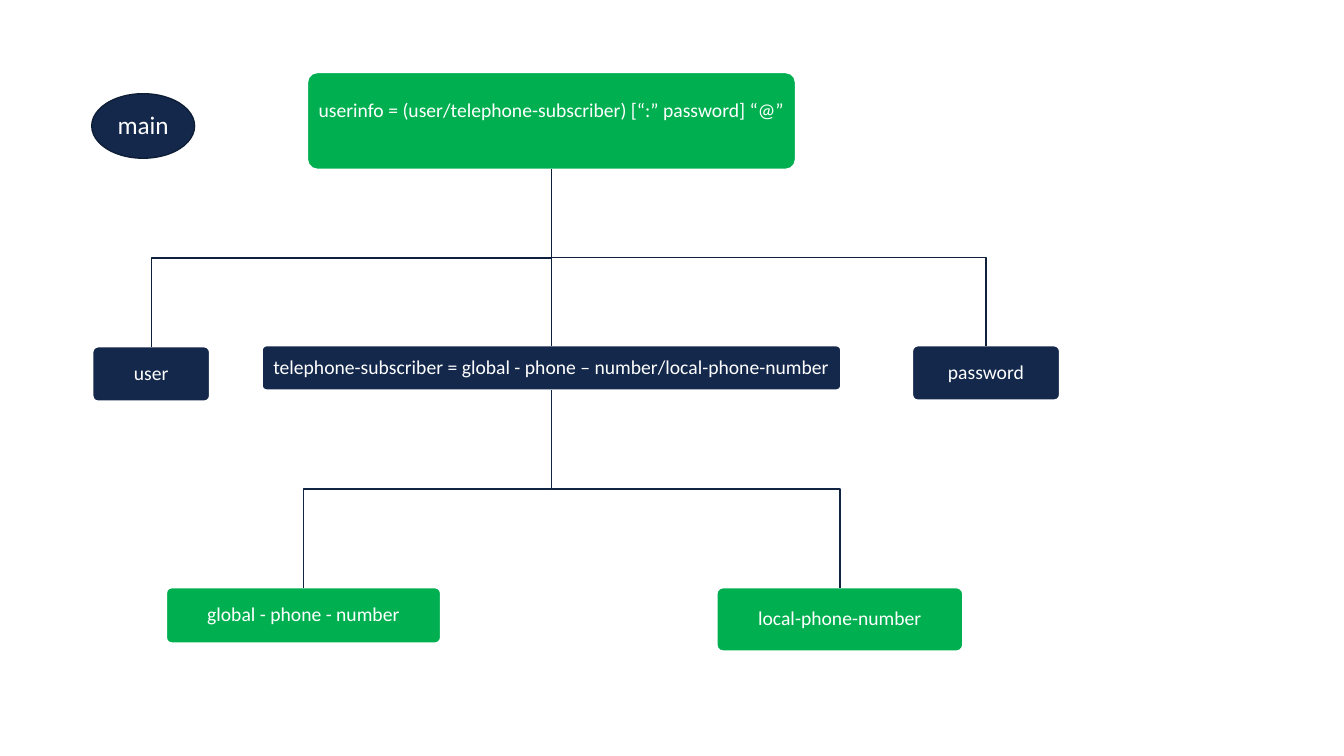
from lxml.etree import SubElement
from pptx import Presentation
from pptx.dml.color import RGBColor
from pptx.enum.shapes import MSO_CONNECTOR, MSO_SHAPE
from pptx.enum.text import MSO_ANCHOR, PP_ALIGN
from pptx.oxml.ns import qn
from pptx.util import Inches, Pt

WHITE = RGBColor(0xFF, 0xFF, 0xFF)
GREEN = RGBColor(0x00, 0xB0, 0x50)
NAVY = RGBColor(0x13, 0x28, 0x4B)
NAVY_EDGE = RGBColor(0x0E, 0x1E, 0x37)
UPPER_LINK = RGBColor(0x0F, 0x20, 0x3C)
LOWER_LINK = RGBColor(0x11, 0x24, 0x44)
BOTTOM, TOP = 2, 0


class GrammarTree:
    """Draws the nodes and links of a grammar tree on one slide."""

    font = "Calibri"
    line_width = Pt(1)
    inset = Inches(0.06)

    def __init__(self, slide):
        self.shapes = slide.shapes

    def node(self, text, left, top, width, height, fill, edge=WHITE,
             kind=MSO_SHAPE.ROUNDED_RECTANGLE, size=14, lift=0):
        shape = self.shapes.add_shape(
            kind, Inches(left), Inches(top), Inches(width), Inches(height))
        if kind == MSO_SHAPE.ROUNDED_RECTANGLE:
            shape.adjustments[0] = 0.1
        shape.shadow.inherit = False
        shape.fill.solid()
        shape.fill.fore_color.rgb = fill
        shape.line.color.rgb = edge
        shape.line.width = self.line_width
        frame = shape.text_frame
        frame.word_wrap = True
        frame.vertical_anchor = MSO_ANCHOR.MIDDLE
        frame.margin_left = frame.margin_right = frame.margin_top = self.inset
        frame.margin_bottom = self.inset + Inches(lift)
        paragraph = frame.paragraphs[0]
        paragraph.text = text
        paragraph.alignment = PP_ALIGN.CENTER
        paragraph.line_spacing = 0.9
        paragraph.font.name = self.font
        paragraph.font.size = Pt(size)
        paragraph.font.color.rgb = WHITE
        return shape

    def straight_link(self, parent, child, color):
        link = self.shapes.add_connector(MSO_CONNECTOR.STRAIGHT, 0, 0, 0, 0)
        link.begin_connect(parent, BOTTOM)
        link.end_connect(child, TOP)
        link.line.color.rgb = color
        link.line.width = self.line_width
        SubElement(link._element.spPr, qn("a:effectLst"))

    def bent_link(self, parent, child, color):
        start_x = parent.left + parent.width // 2
        start_y = parent.top + parent.height
        end_x = child.left + child.width // 2
        middle_y = (start_y + child.top) // 2
        outline = self.shapes.build_freeform(start_x, start_y)
        outline.add_line_segments(
            [(start_x, middle_y), (end_x, middle_y), (end_x, child.top)],
            close=False)
        link = outline.convert_to_shape()
        link.shadow.inherit = False
        link.fill.background()
        link.line.color.rgb = color
        link.line.width = self.line_width


def main():
    presentation = Presentation()
    presentation.slide_width = Inches(13.33)
    presentation.slide_height = Inches(7.5)
    slide = presentation.slides.add_slide(presentation.slide_layouts[6])
    tree = GrammarTree(slide)

    # Root rule
    userinfo = tree.node(
        "userinfo = (user/telephone-subscriber) [“:” password] “@”",
        3.05, 0.72, 4.84, 0.96, GREEN, lift=0.2)

    # Parts of userinfo
    user = tree.node("user", 0.92, 3.44, 1.16, 0.54, NAVY)
    subscriber = tree.node(
        "telephone-subscriber = global - phone – number/local-phone-number",
        2.6, 3.43, 5.74, 0.44, NAVY)
    password = tree.node("password", 9.05, 3.43, 1.46, 0.54, NAVY)

    # Kinds of phone number
    global_number = tree.node(
        "global - phone - number", 1.65, 5.83, 2.72, 0.55, GREEN)
    local_number = tree.node(
        "local-phone-number", 7.11, 5.83, 2.44, 0.63, GREEN)

    # Links between the levels
    tree.straight_link(userinfo, subscriber, UPPER_LINK)
    for part in (user, password):
        tree.bent_link(userinfo, part, UPPER_LINK)
    for number in (global_number, local_number):
        tree.bent_link(subscriber, number, LOWER_LINK)

    # Label of the diagram
    tree.node("main", 0.91, 0.93, 1.02, 0.64, NAVY, NAVY_EDGE,
              MSO_SHAPE.OVAL, size=18)

    presentation.save("out.pptx")


if __name__ == "__main__":
    main()
